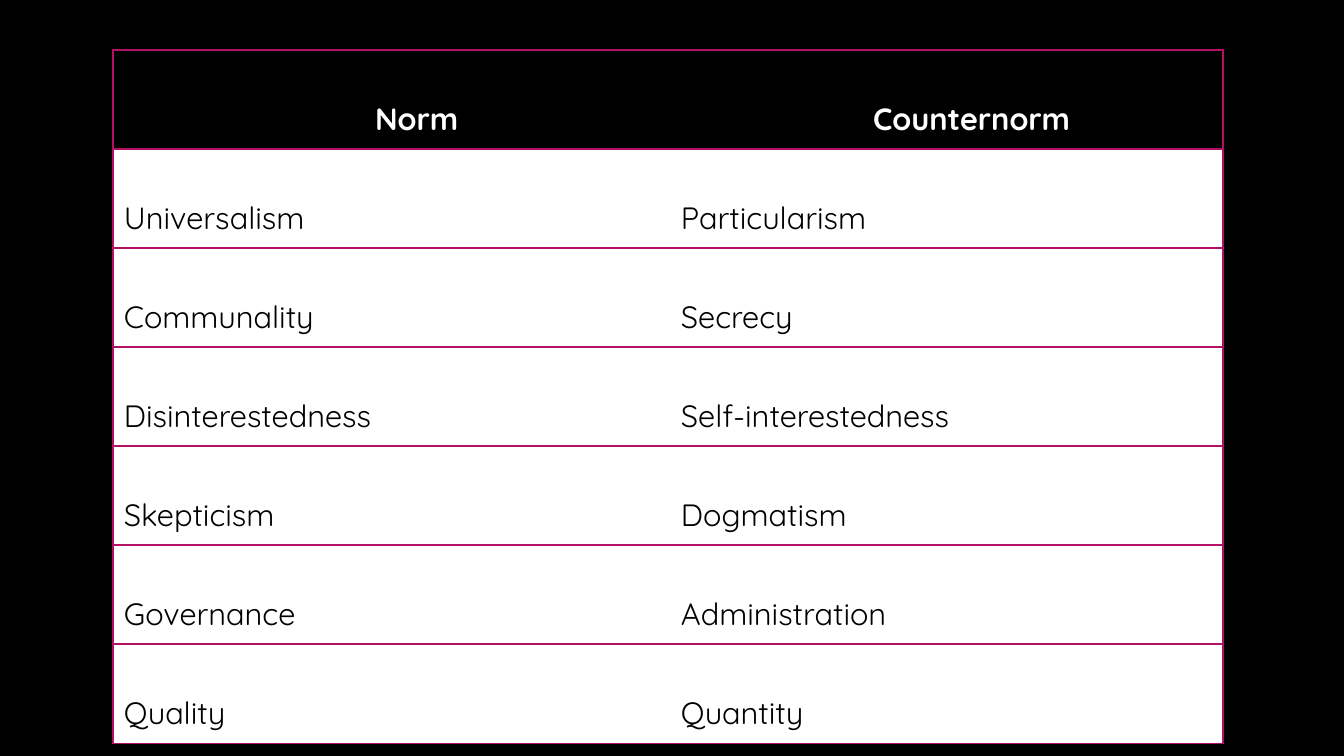
import pptx
import pptx.dml.color
import pptx.enum.text
import pptx.oxml
import pptx.oxml.ns
import pptx.util

PX = 914400 / 100.8
INK = {"black": "000000", "white": "FFFFFF", "pink": "B31166"}
FONT = {"name": "Quicksand", "size": pptx.util.Pt(22)}
HEAD = ("Norm", "Counternorm")
PAIRS = [
    ("Universalism", "Particularism"),
    ("Communality", "Secrecy"),
    ("Disinterestedness", "Self-interestedness"),
    ("Skepticism", "Dogmatism"),
    ("Governance", "Administration"),
    ("Quality", "Quantity"),
]


def px(n):
    return pptx.util.Emu(round(n * PX))


def rgb(name):
    return pptx.dml.color.RGBColor.from_string(INK[name])


class Deck:
    def __init__(self, wide, high):
        self.prs = pptx.Presentation()
        self.prs.slide_width, self.prs.slide_height = px(wide), px(high)
        self.slide = self.prs.slides.add_slide(self.prs.slide_layouts[6])

    def back(self, ink):
        fill = self.slide.background.fill
        fill.solid()
        fill.fore_color.rgb = rgb(ink)

    def edge(self, cell, side, ink):
        """Draw one cell border, or none when ink is None."""
        fill = "<a:noFill/>"
        if ink:
            fill = f'<a:solidFill><a:srgbClr val="{INK[ink]}"/></a:solidFill>'
        space = pptx.oxml.ns.nsdecls("a")
        line = f'<a:ln{side} {space} w="12700">{fill}</a:ln{side}>'
        cell._tc.get_or_add_tcPr().append(pptx.oxml.parse_xml(line))

    def cell(self, cell, text, head, hidden):
        # Borders come before the fill
        for side in "LRTB":
            self.edge(cell, side, None if side == hidden else "pink")
        cell.fill.solid()
        cell.fill.fore_color.rgb = rgb("black" if head else "white")
        cell.vertical_anchor = pptx.enum.text.MSO_ANCHOR.BOTTOM
        for side in ("left", "right", "top", "bottom"):
            setattr(cell, f"margin_{side}", px(11))

        # Text
        para = cell.text_frame.paragraphs[0]
        para.line_spacing = 2.0
        if head:
            para.alignment = pptx.enum.text.PP_ALIGN.CENTER
            para._p.get_or_add_pPr().set("indent", str(pptx.util.Inches(0.5)))
        run = para.add_run()
        run.text = text
        for key, val in {**FONT, "bold": head}.items():
            setattr(run.font, key, val)
        run.font.color.rgb = rgb("white" if head else "black")

    def table(self, left, top, cols, rows, data):
        frame = self.slide.shapes.add_table(
            len(rows), len(cols), px(left), px(top), px(sum(cols)), px(sum(rows)))
        grid = frame.table
        grid.first_row = grid.horz_banding = False
        for col, wide in zip(grid.columns, cols):
            col.width = px(wide)
        for row, high in zip(grid.rows, rows):
            row.height = px(high)
        for r, line in enumerate(data):
            for c, text in enumerate(line):
                # The middle edge between the two columns stays hidden
                self.cell(grid.cell(r, c), text, r == 0, "RL"[c])


def main():
    deck = Deck(1344, 756)
    deck.back("black")
    # Norms beside their counternorms
    deck.table(113, 50, [557, 553], [82] + [85] * len(PAIRS), [HEAD] + PAIRS)
    deck.prs.save("out.pptx")


if __name__ == "__main__":
    main()
